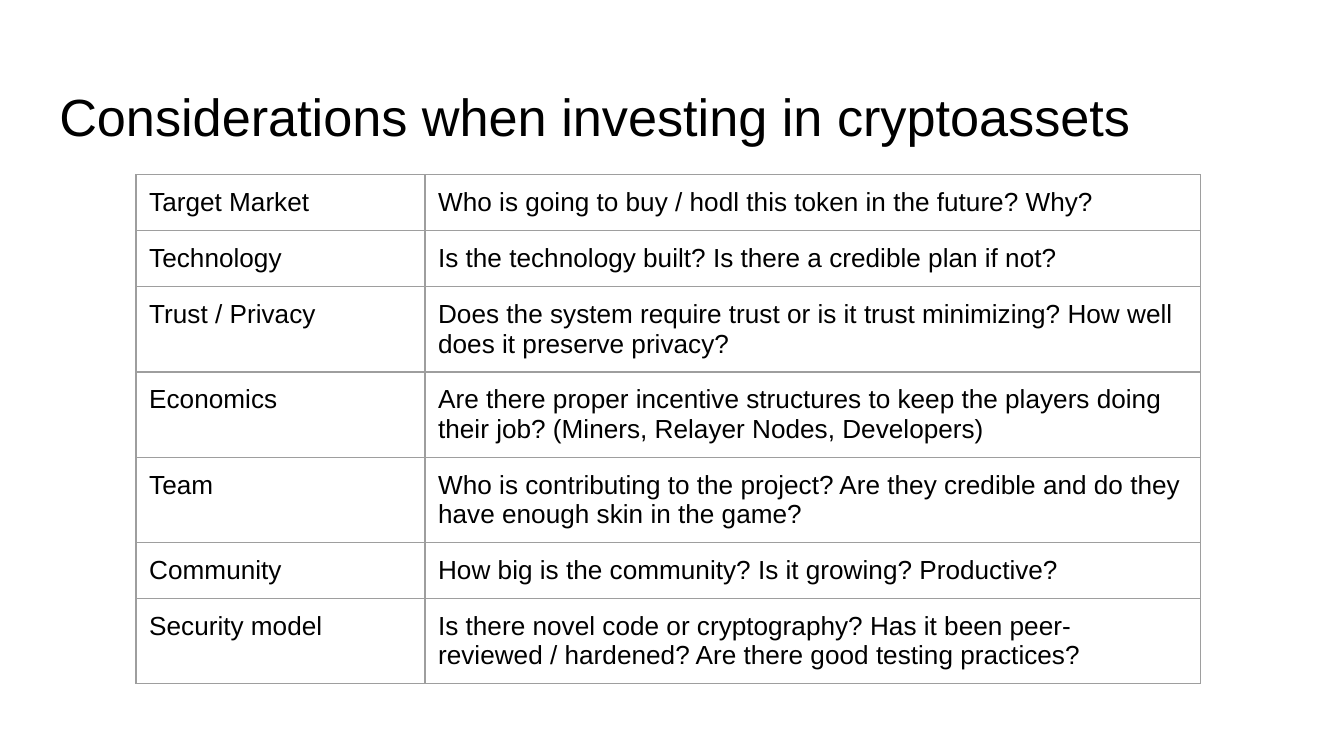
from lxml.etree import SubElement
from pptx import Presentation
from pptx.dml.color import RGBColor
from pptx.enum.text import MSO_ANCHOR, PP_ALIGN
from pptx.oxml.ns import qn
from pptx.util import Cm, Pt

COLORS = {"text": "000000", "border": "9E9E9E"}
FONT = "Arial"
INSET = Cm(0.25)

CONSIDERATIONS = [
    ("Target Market", "Who is going to buy / hodl this token in the future? Why?"),
    ("Technology", "Is the technology built? Is there a credible plan if not?"),
    ("Trust / Privacy", "Does the system require trust or is it trust minimizing? "
     "How well does it preserve privacy?"),
    ("Economics", "Are there proper incentive structures to keep the players doing "
     "their job? (Miners, Relayer Nodes, Developers)"),
    ("Team", "Who is contributing to the project? Are they credible and do they "
     "have enough skin in the game?"),
    ("Community", "How big is the community? Is it growing? Productive?"),
    ("Security model", "Is there novel code or cryptography? Has it been "
     "peer-reviewed / hardened? Are there good testing practices?"),
]


def format_text(frame, size):
    for para in frame.paragraphs:
        para.alignment = PP_ALIGN.LEFT
        for span in para.runs:
            span.font.name = FONT
            span.font.size = Pt(size)
            span.font.bold = False
            span.font.color.rgb = RGBColor.from_string(COLORS["text"])


def add_borders(cell):
    properties = cell._tc.get_or_add_tcPr()
    for index, side in enumerate(("lnL", "lnR", "lnT", "lnB")):
        line = properties.makeelement(qn(f"a:{side}"), {"w": str(Pt(0.75))})
        fill = SubElement(line, qn("a:solidFill"))
        SubElement(fill, qn("a:srgbClr"), val=COLORS["border"])
        properties.insert(index, line)  # borders come before the fill


deck = Presentation()
deck.slide_width, deck.slide_height = Cm(25.4), Cm(14.29)
page = deck.slides.add_slide(deck.slide_layouts[5])

# Title
title = page.shapes.title
title.left, title.top, title.width, title.height = Cm(0.87), Cm(1.24), Cm(23.67), Cm(1.6)
frame = title.text_frame
frame.text = "Considerations when investing in cryptoassets"
frame.word_wrap = True
frame.vertical_anchor = MSO_ANCHOR.TOP
frame.margin_left = frame.margin_right = INSET
frame.margin_top, frame.margin_bottom = Cm(0.36), Cm(0.1)
format_text(frame, 28)

# Table of considerations
column_widths = [Cm(5.46), Cm(14.66)]
row_height = Cm(1.06)
table = page.shapes.add_table(
    len(CONSIDERATIONS), len(column_widths), Cm(2.57), Cm(3.3),
    sum(column_widths), row_height * len(CONSIDERATIONS)).table
table.first_row = table.horz_banding = False
for column, width in zip(table.columns, column_widths):
    column.width = width

for row, texts in zip(table.rows, CONSIDERATIONS):
    row.height = row_height
    for cell, text in zip(row.cells, texts):
        cell.text = text
        cell.margin_left = cell.margin_right = INSET
        cell.margin_top = cell.margin_bottom = INSET
        cell.vertical_anchor = MSO_ANCHOR.TOP
        cell.fill.background()
        add_borders(cell)
        format_text(cell.text_frame, 14)

deck.save("out.pptx")
